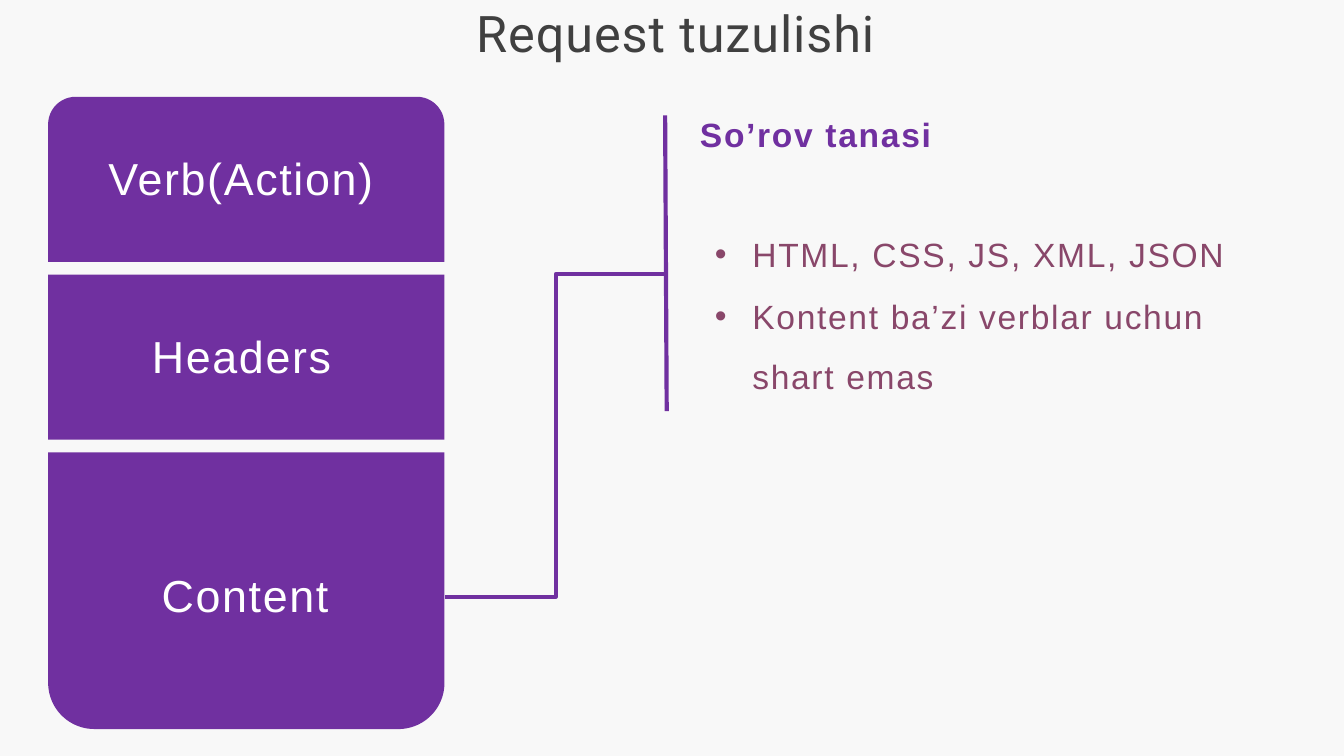
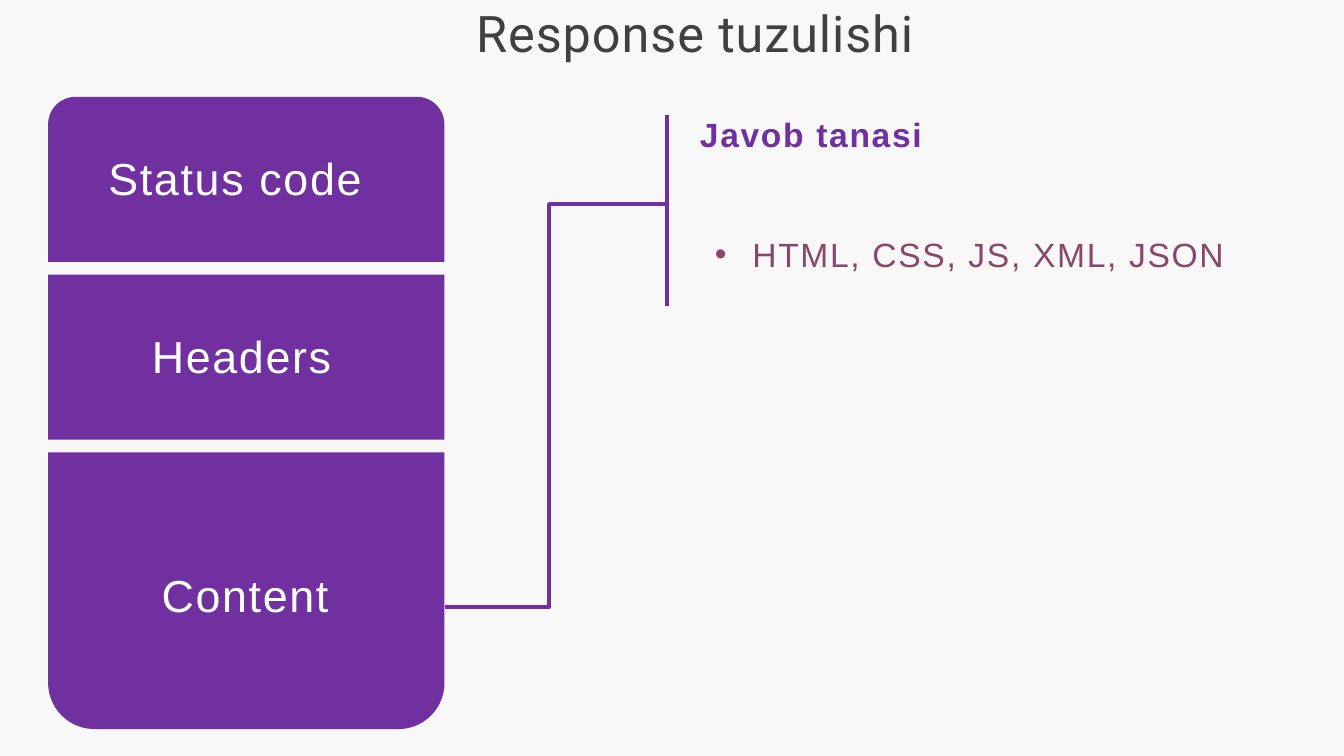
from dataclasses import dataclass
from lxml.etree import SubElement
from pptx import Presentation
from pptx.dml.color import RGBColor
from pptx.enum.shapes import MSO_CONNECTOR, MSO_SHAPE
from pptx.enum.text import MSO_ANCHOR, MSO_AUTO_SIZE, PP_ALIGN
from pptx.oxml.ns import qn
from pptx.util import Cm, Pt


@dataclass(frozen=True)
class Theme:
    """Colours, fonts and type sizes of the deck."""
    back: str = "F8F8F8"
    main: str = "7030A0"
    ink: str = "404040"
    light: str = "FFFFFF"
    soft: str = "89476A"
    head: str = "Roboto"
    body: str = "Arial"
    title: int = 27
    label: int = 24
    note: int = 18
    line: float = 2.25


LOOK = Theme()
ROUND, RECT = MSO_SHAPE.ROUND_2_SAME_RECTANGLE, MSO_SHAPE.RECTANGLE

SLIDES = [
    dict(title="Request tuzulishi", first="Verb(Action)", head="So’rov tanasi",
         notes=["HTML, CSS, JS, XML, JSON", "Kontent ba’zi verblar uchun shart emas"],
         tall=5.94, spine=(12.57, 2.18, 12.6, 7.77),
         elbow=(8.41, 11.28, 12.6, 5.18), bend=0.5),
    dict(title="Response tuzulishi", first="Status code", head="Javob tanasi",
         notes=["HTML, CSS, JS, XML, JSON"],
         tall=3.61, spine=(12.6, 2.18, 12.6, 5.79),
         elbow=(8.41, 11.48, 12.6, 3.86), bend=0.47),
]
LEFT, TOP, WIDE, GAP = 0.91, 1.83, 7.49, 0.24
BLOCKS = [
    dict(form=ROUND, tall=3.12, turn=0, box=(0.51, 0.89, 6.99, 1.27), hold=None),
    dict(form=RECT, tall=3.12, turn=0, box=(1.33, 0.89, 4.83, 1.27), hold=None),
    dict(form=ROUND, tall=5.23, turn=180, box=(1.45, 1.99, 4.42, 1.35), hold=ROUND),
]


def tint(code):
    """Turn a hex code into a colour."""
    return RGBColor.from_string(code)


def area(box):
    """Turn centimetres into lengths."""
    return [Cm(n) for n in box]


def write(shape, lines, *, size, color, font=LOOK.body, bold=False, space=0.9,
          indent=(0.38, 0), lead=None, dot=None):
    """Fill a shape with formatted paragraphs."""
    frame = shape.text_frame
    frame.word_wrap = True
    frame.auto_size = MSO_AUTO_SIZE.SHAPE_TO_FIT_TEXT
    frame.vertical_anchor = MSO_ANCHOR.TOP
    for i, line in enumerate(lines):
        para = frame.add_paragraph() if i else frame.paragraphs[0]
        para.alignment = PP_ALIGN.LEFT
        para.space_before = Pt(0.8)
        if lead:
            para.line_spacing = lead
        props = para._p.get_or_add_pPr()
        for key, value in zip(("marL", "indent"), indent):
            props.set(key, str(Cm(value)))
        if dot:
            SubElement(props, qn("a:buFont")).set("typeface", font)
            SubElement(props, qn("a:buChar")).set("char", dot)
        run = para.add_run()
        run.text = line
        run.font.size, run.font.name, run.font.bold = Pt(size), font, bold
        run.font.color.rgb = tint(color)
        run._r.get_or_add_rPr().set("spc", str(round(space * 100)))


def plate(shapes, form, box, fill=None):
    """Add a flat shape without an outline."""
    shape = shapes.add_shape(form, *area(box))
    shape.shadow.inherit = False
    shape.line.fill.background()
    if fill:
        shape.fill.solid()
        shape.fill.fore_color.rgb = tint(fill)
    else:
        shape.fill.background()
    return shape


def stack(slide, labels):
    """Add the column of labelled blocks."""
    top = TOP
    for label, block in zip(labels, BLOCKS):
        shapes = slide.shapes.add_group_shape().shapes
        base = plate(shapes, block["form"], (LEFT, top, WIDE, block["tall"]), LOOK.main)
        base.rotation = block["turn"]
        x, y, wide, tall = block["box"]
        box = (LEFT + x, top + y, wide, tall)
        hold = plate(shapes, block["hold"], box) if block["hold"] else shapes.add_textbox(*area(box))
        write(hold, [label], size=LOOK.label, color=LOOK.light)
        top += block["tall"] + GAP


def link(slide, kind, ends, bend=None):
    """Add a flat line, bent at a share of its width."""
    line = slide.shapes.add_connector(kind, *area(ends))
    line.line.color.rgb = tint(LOOK.main)
    line.line.width = Pt(LOOK.line)
    props = line._element.spPr
    SubElement(props, qn("a:effectLst"))
    if bend:
        guide = SubElement(props.find(".//" + qn("a:avLst")), qn("a:gd"))
        guide.set("name", "adj1")
        guide.set("fmla", f"val {round(bend * 100000)}")


def build(deck, data):
    """Add one slide."""
    slide = deck.slides.add_slide(deck.slide_layouts[5])
    title = slide.shapes.title
    title.left, title.top, title.width, title.height = area((8.97, 0, 8.84, 1.17))
    frame = title.text_frame
    frame.margin_left = frame.margin_right = frame.margin_bottom = 0
    frame.margin_top = Cm(0.03)
    write(title, [data["title"]], size=LOOK.title, color=LOOK.ink, font=LOOK.head,
          space=0.5, indent=(0.03, 0))
    stack(slide, [data["first"], "Headers", "Content"])
    link(slide, MSO_CONNECTOR.STRAIGHT, data["spine"])
    link(slide, MSO_CONNECTOR.ELBOW, data["elbow"], data["bend"])
    head = slide.shapes.add_textbox(*area((12.6, 2.03, 10.8, 1.02)))
    write(head, [data["head"]], size=LOOK.note, color=LOOK.main, bold=True)
    body = slide.shapes.add_textbox(*area((12.88, 3.91, 10.54, data["tall"])))
    write(body, data["notes"], size=LOOK.note, color=LOOK.soft,
          indent=(1.09, -0.71), lead=1.5, dot="•")


def main():
    """Build and save the deck."""
    deck = Presentation()
    deck.slide_width, deck.slide_height = Cm(25.4), Cm(14.29)
    fill = deck.slide_master.background.fill
    fill.solid()
    fill.fore_color.rgb = tint(LOOK.back)
    for data in SLIDES:
        build(deck, data)
    deck.save("out.pptx")


if __name__ == "__main__":
    main()
